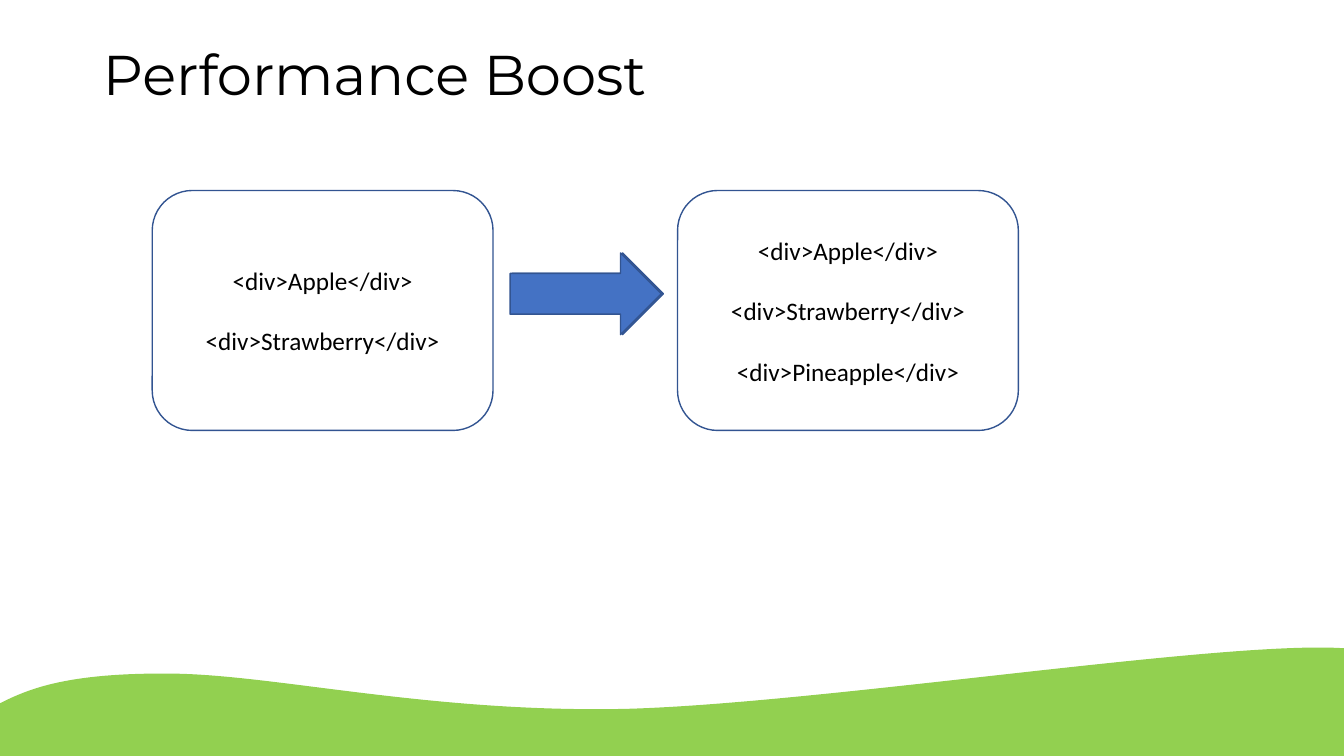
import lxml.etree
import pptx
import pptx.dml.color
import pptx.enum.shapes
import pptx.enum.text
import pptx.oxml.ns
import pptx.util

Inches, Pt = pptx.util.Inches, pptx.util.Pt
SHAPE = pptx.enum.shapes.MSO_SHAPE
ALIGN = pptx.enum.text.PP_ALIGN
qn = pptx.oxml.ns.qn

# Content
TITLE = "Performance Boost"
BEFORE = ["<div>Apple</div>", "<div>Strawberry</div>"]
AFTER = BEFORE + ["<div>Pineapple</div>"]

COLORS = {"wave": "92D050", "arrow": "4472C4", "outline": "325491", "text": "000000"}

# Layout, in inches
BOX_TOP, BOX_W, BOX_H = 1.89, 3.38, 2.38
BOXES = [(6.72, AFTER), (1.51, BEFORE)]
ARROW_LEFTS = [5.08, 5.06]
ARROW_TOP, ARROW_W, ARROW_H = 2.51, 1.5, 0.81

# Wave: frame, start point, then cubic segments (two controls and an end)
WAVE_LEFT, WAVE_TOP, WAVE_W, WAVE_H = -1.04, 6.43, 15.69, 1.2
WAVE_START = (0.01, 6.98)
WAVE_CURVES = [
    ((0.29, 6.84), (0.67, 6.68), (1.7, 6.69)),
    ((2.73, 6.7), (4.26, 7.08), (6.2, 7.04)),
    ((8.14, 6.99), (12.16, 6.35), (13.35, 6.44)),
    ((14.53, 6.52), (15.56, 7.35), (13.34, 7.53)),
    ((11.11, 7.71), (2.23, 7.61), (0.01, 7.52)),
    ((-2.21, 7.43), (-0.27, 7.12), WAVE_START),
]


def rgb(name):
    return pptx.dml.color.RGBColor.from_string(COLORS[name])


def write(tf, lines, font="Calibri", size=18, color="text", align=ALIGN.CENTER,
          gap=0, line_spacing=None):
    tf.word_wrap = True
    tf.vertical_anchor = pptx.enum.text.MSO_ANCHOR.MIDDLE
    for i, line in enumerate(lines):
        p = tf.paragraphs[0] if i == 0 else tf.add_paragraph()
        p.alignment = align
        p.line_spacing = line_spacing
        p.space_before = Pt(gap if i else 0)
        r = p.add_run()
        r.text = line
        r.font.name, r.font.size = font, Pt(size)
        r.font.color.rgb = rgb(color)


def paint(sp, fill=None, line="outline"):
    sp.shadow.inherit = False
    if fill:
        sp.fill.solid()
        sp.fill.fore_color.rgb = rgb(fill)
    else:
        sp.fill.background()
    sp.line.color.rgb = rgb(line)
    sp.line.width = Pt(1)


def add_preset(s, kind, left, top, width, height, fill=None):
    sp = s.shapes.add_shape(kind, Inches(left), Inches(top), Inches(width), Inches(height))
    paint(sp, fill)
    return sp


def add_wave(s):
    ends = [(Inches(x), Inches(y)) for _, _, (x, y) in WAVE_CURVES]
    builder = s.shapes.build_freeform(*ends[-1])
    builder.add_line_segments(ends, close=True)
    wave = builder.convert_to_shape()
    wave.left, wave.top = Inches(WAVE_LEFT), Inches(WAVE_TOP)
    wave.width, wave.height = Inches(WAVE_W), Inches(WAVE_H)

    # Turn the straight segments into cubic curves within the frame
    outline = next(wave._element.iter(qn("a:path")))
    outline.set("w", str(wave.width))
    outline.set("h", str(wave.height))
    for child in list(outline):
        outline.remove(child)
    segments = [("a:moveTo", [WAVE_START])]
    segments += [("a:cubicBezTo", curve) for curve in WAVE_CURVES]
    for tag, points in segments + [("a:close", [])]:
        segment = lxml.etree.SubElement(outline, qn(tag))
        for x, y in points:
            pt = lxml.etree.SubElement(segment, qn("a:pt"))
            pt.set("x", str(Inches(x) - wave.left))
            pt.set("y", str(Inches(y) - wave.top))

    paint(wave, "wave", "wave")
    s.shapes._spTree.insert(2, wave._element)  # behind the title


def main():
    prs = pptx.Presentation()
    prs.slide_width, prs.slide_height = Inches(13.33), Inches(7.5)
    s = prs.slides.add_slide(prs.slide_layouts[5])
    add_wave(s)

    # Title
    title = s.shapes.title
    title.left, title.top = Inches(0.92), Inches(0.25)
    title.width, title.height = Inches(10.83), Inches(1.03)
    write(title.text_frame, [TITLE], font="Montserrat", size=40,
          align=ALIGN.LEFT, line_spacing=0.9)

    # Markup before and after, with the arrows between
    for (box_left, lines), arrow_left in zip(BOXES, ARROW_LEFTS):
        box = add_preset(s, SHAPE.ROUNDED_RECTANGLE, box_left, BOX_TOP, BOX_W, BOX_H)
        write(box.text_frame, lines, gap=21.6)
        add_preset(s, SHAPE.RIGHT_ARROW, arrow_left, ARROW_TOP, ARROW_W, ARROW_H, "arrow")

    prs.save("out.pptx")


if __name__ == "__main__":
    main()
